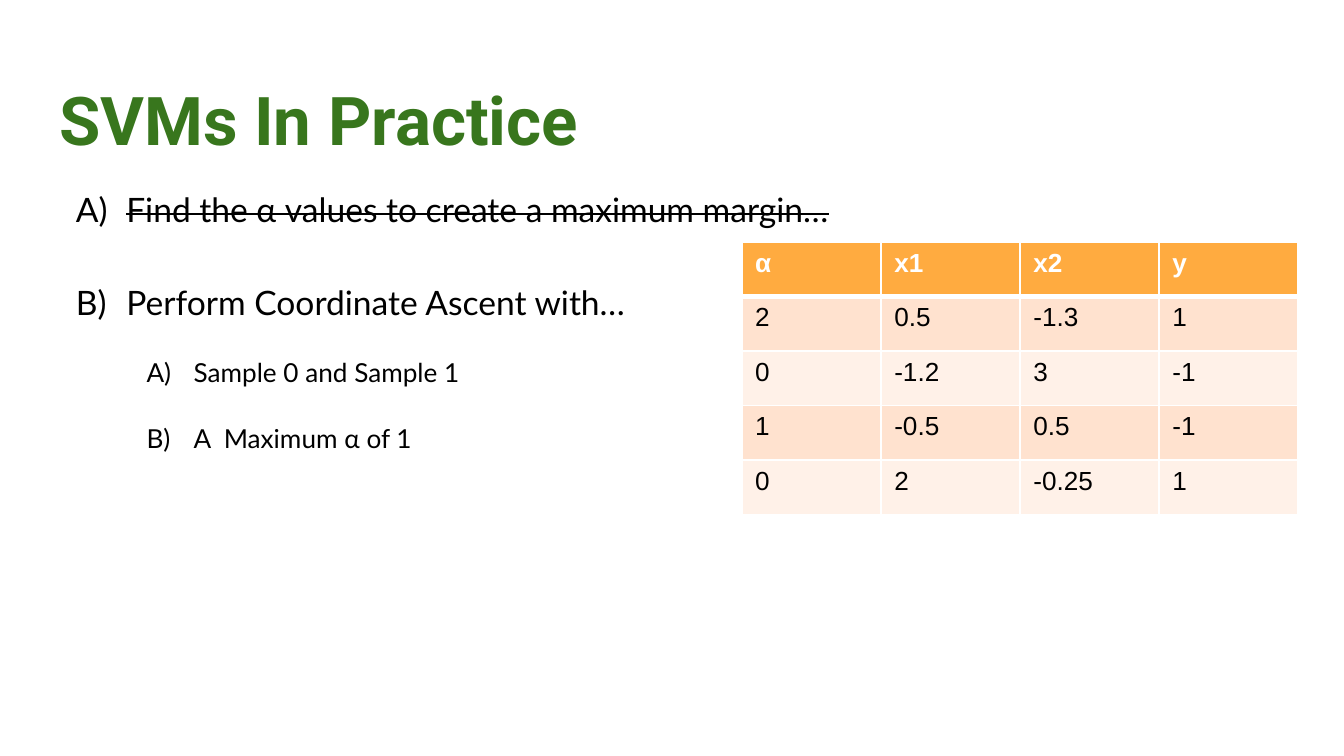
"""Build the slide on SVMs in practice: a lettered list beside a sample table."""
from lxml import etree
from pptx import Presentation
from pptx.dml.color import RGBColor
from pptx.enum import text
from pptx.oxml import ns
from pptx.util import Pt

INK = {"title": "38761D", "text": "000000", "line": "FFFFFF",
       "head": "FFAB40", "odd": "FFE2CF", "even": "FFF1E8"}


def style(para, face, size, ink, bold=False):
    font = para.font
    font.name, font.size, font.bold = face, Pt(size), bold
    font.color.rgb = RGBColor.from_string(INK[ink])


def place(shape, left, top, width, height):
    shape.left, shape.top = Pt(left), Pt(top)
    shape.width, shape.height = Pt(width), Pt(height)
    frame = shape.text_frame
    frame.margin_left = frame.margin_right = Pt(7.2)
    frame.margin_top = frame.margin_bottom = Pt(7.2)
    frame.vertical_anchor = text.MSO_ANCHOR.TOP
    frame.auto_size = text.MSO_AUTO_SIZE.NONE
    frame.word_wrap = True
    return frame


deck = Presentation()
deck.slide_width, deck.slide_height = Pt(720), Pt(405)
slide = deck.slides.add_slide(deck.slide_layouts[1])

frame = place(slide.shapes.title, 24.5, 35, 671, 45)
frame.text = "SVMs In Practice"
para = frame.paragraphs[0]
para.alignment = text.PP_ALIGN.LEFT
style(para, "Roboto", 36, "title", True)

items = [("Find the α values to create a maximum margin…", 0, 0, True),
         ("Perform Coordinate Ascent with…", 0, 25, False),
         ("Sample 0 and Sample 1", 1, 16, False),
         ("A  Maximum α of 1", 1, 16, False)]
frame = place(slide.placeholders[1], 24.5, 90.7, 671, 269)
for num, (words, level, gap, done) in enumerate(items):
    para = frame.add_paragraph() if num else frame.paragraphs[0]
    run = para.add_run()
    run.text = words
    if done:
        run._r.get_or_add_rPr().set("strike", "sngStrike")
    props = para._p.get_or_add_pPr()
    props.set("marL", str(Pt(36 + 36 * level)))
    props.set("indent", str(-Pt(25.2 if level else 27)))
    tint = etree.SubElement(props, ns.qn("a:buClr"))
    etree.SubElement(tint, ns.qn("a:srgbClr"), val=INK["text"])
    etree.SubElement(props, ns.qn("a:buFont"), typeface="Lato")
    etree.SubElement(props, ns.qn("a:buAutoNum"), type="alphaUcParenR")
    para.level = level
    para.line_spacing = 1.15
    para.space_before = Pt(gap)
    style(para, "Lato", 14 if level else 18, "text")

rows = [("α", "x1", "x2", "y"),
        ("2", "0.5", "-1.3", "1"),
        ("0", "-1.2", "3", "-1"),
        ("1", "-0.5", "0.5", "-1"),
        ("0", "2", "-0.25", "1")]
table = slide.shapes.add_table(len(rows), len(rows[0]), Pt(397.4), Pt(129.6),
                               Pt(298), Pt(146)).table
for r, row in enumerate(rows):
    for c, value in enumerate(row):
        cell = table.cell(r, c)
        cell.text = value
        props = cell._tc.get_or_add_tcPr()
        for side in "LRTB":
            thick = (r, side) in ((0, "B"), (1, "T"))
            line = etree.SubElement(props, ns.qn("a:ln" + side),
                                    w=str(Pt(3 if thick else 1)))
            fill = etree.SubElement(line, ns.qn("a:solidFill"))
            etree.SubElement(fill, ns.qn("a:srgbClr"), val=INK["line"])
        band = "head" if r == 0 else "odd" if r % 2 else "even"
        cell.fill.solid()
        cell.fill.fore_color.rgb = RGBColor.from_string(INK[band])
        style(cell.text_frame.paragraphs[0], "Arial", 14,
              "text" if r else "line", r == 0)

deck.save("out.pptx")
